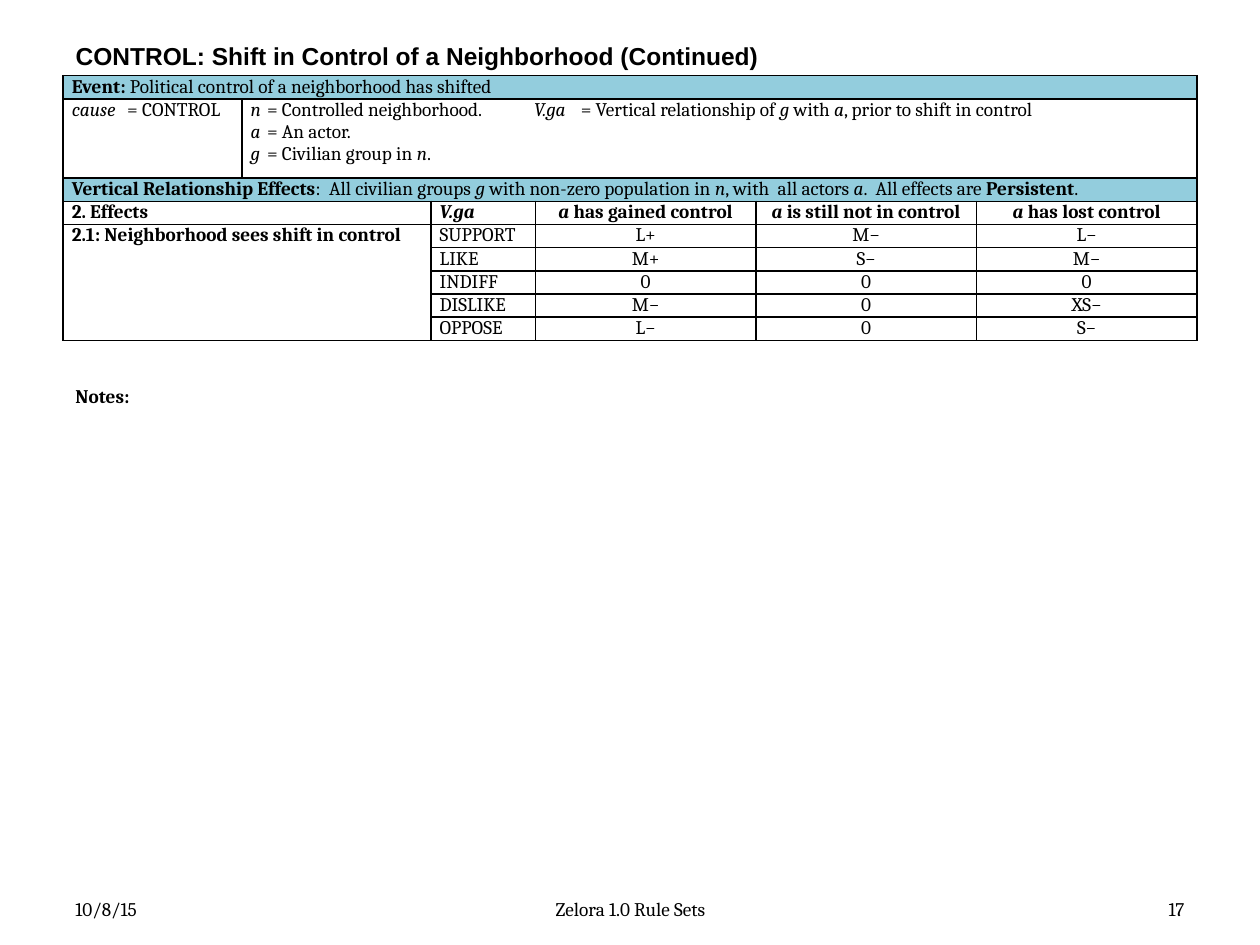
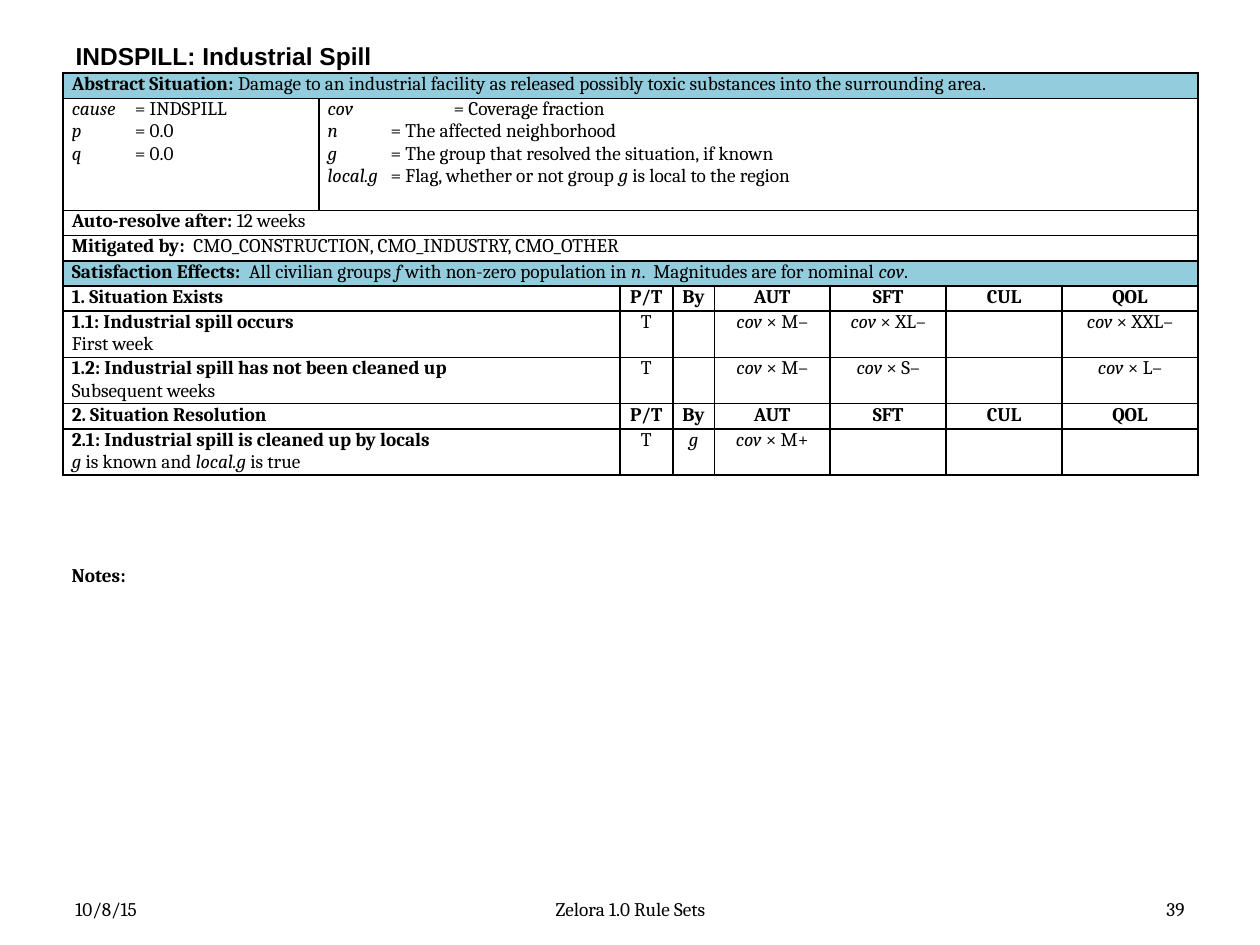
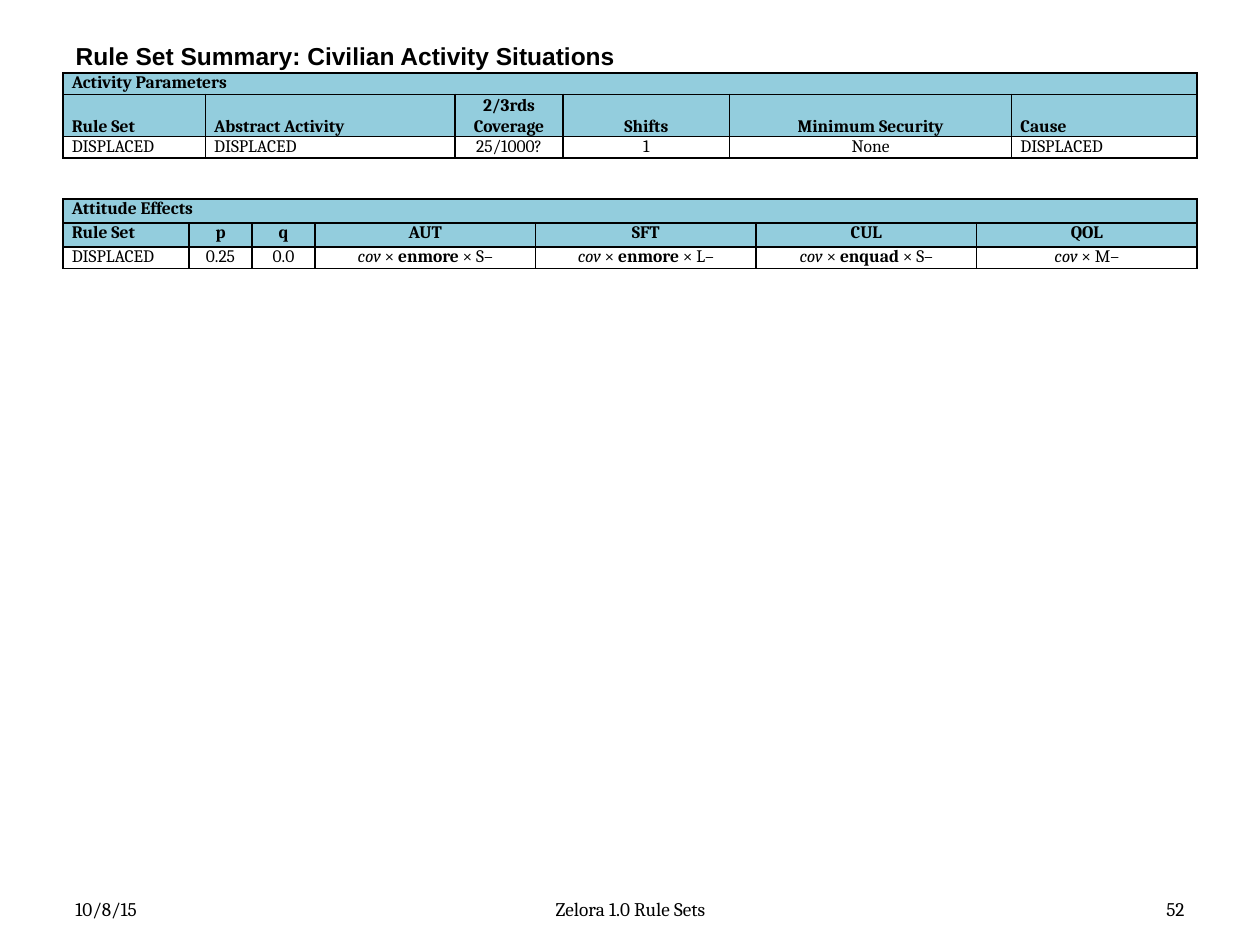
from lxml import etree
from pptx import Presentation
from pptx.dml.color import RGBColor
from pptx.enum.text import MSO_ANCHOR, PP_ALIGN
from pptx.oxml.ns import qn
from pptx.util import Inches, Pt

LEFT, MID, RIGHT = PP_ALIGN.LEFT, PP_ALIGN.CENTER, PP_ALIGN.RIGHT
TOP, CENTER, BOTTOM = MSO_ANCHOR.TOP, MSO_ANCHOR.MIDDLE, MSO_ANCHOR.BOTTOM

COLORS = {"ink": "000000", "band": "93CDDD"}
FONTS = {"head": "Arial", "body": "Cambria"}
TITLE_BOX = (0.5, 0.3, 9, 0.28)
DATE, DECK = "10/8/15", "Zelora 1.0 Rule Sets"
PAD = {"margin_left": Inches(0.07), "margin_right": Inches(0.07),
       "margin_top": 0, "margin_bottom": 0}


def put(item, **values):
    for name, value in values.items():
        setattr(item, name, value)


def write(frame, text, size=11, face="body", align=LEFT, tabs=()):
    """Write lines in which *stars* mark bold and ~tildes~ mark italic."""
    for row, line in enumerate(text.split("\n")):
        para = frame.add_paragraph() if row else frame.paragraphs[0]
        para.alignment = align
        if tabs:
            stops = etree.SubElement(para._p.get_or_add_pPr(), qn("a:tabLst"))
            for stop in tabs:
                etree.SubElement(stops, qn("a:tab"), pos=str(Inches(stop)), algn="l")
        for bold, chunk in enumerate(line.split("*")):
            for slant, piece in enumerate(chunk.split("~")):
                if not piece:
                    continue
                run = para.add_run()
                run.text = piece
                put(run.font, name=FONTS[face], size=Pt(size),
                    bold=bool(bold % 2), italic=bool(slant % 2))
                run.font.color.rgb = RGBColor.from_string(COLORS["ink"])
        if not line:
            para._p.get_or_add_endParaRPr().set("sz", str(size * 100))


def add_text(slide, box, text, align=LEFT, anchor=TOP):
    frame = slide.shapes.add_textbox(*map(Inches, box)).text_frame
    put(frame, word_wrap=True, vertical_anchor=anchor)
    write(frame, text, align=align)


def add_page(deck, title, number):
    """Add a slide with its title and footer."""
    slide = deck.slides.add_slide(deck.slide_layouts[5])
    head = slide.shapes.title
    left, top, width, height = map(Inches, TITLE_BOX)
    put(head, left=left, top=top, width=width, height=height)
    put(head.text_frame, vertical_anchor=CENTER, word_wrap=True)
    write(head.text_frame, f"*{title}*", 14, "head")
    for left, width, text, align in ((0.5, 2.33, DATE, LEFT),
                                     (3.42, 3.17, DECK, MID),
                                     (7.17, 2.33, str(number), RIGHT)):
        add_text(slide, (left, 7.08, width, 0.27), text, align, CENTER)
    return slide


def add_edges(cell):
    props = cell._tc.get_or_add_tcPr()
    for side in ("lnL", "lnR", "lnT", "lnB"):
        line = etree.SubElement(props, qn(f"a:{side}"), w=str(Pt(1)))
        fill = etree.SubElement(line, qn("a:solidFill"))
        etree.SubElement(fill, qn("a:srgbClr"), val=COLORS["ink"])


def add_grid(slide, top, cols, heights, rows, bands, mids, spans=None,
             tabs=None, size=11, low=None):
    """Draw a ruled table; a row with one cell spans the full width."""
    spans, tabs = spans or {}, tabs or {}
    box = map(Inches, (0.5, top, sum(cols), sum(heights)))
    grid = slide.shapes.add_table(len(rows), len(cols), *box).table
    put(grid, first_row=False, horz_banding=False)
    for col, width in zip(grid.columns, cols):
        col.width = Inches(width)
    for r, texts in enumerate(rows):
        grid.rows[r].height = Inches(heights[r])
        padded = texts + [""] * (len(cols) - len(texts))
        for c, text in enumerate(padded):
            cell = grid.cell(r, c)
            put(cell, vertical_anchor=BOTTOM if r == low else TOP, **PAD)
            add_edges(cell)
            if r in bands:
                cell.fill.solid()
                cell.fill.fore_color.rgb = RGBColor.from_string(COLORS["band"])
            else:
                cell.fill.background()
            write(cell.text_frame, text, size, align=MID if c in mids else LEFT,
                  tabs=tabs.get((r, c), ()))
        if len(texts) == 1:
            grid.cell(r, 0).merge(grid.cell(r, len(cols) - 1))
    for (r, c), (high, wide) in spans.items():
        grid.cell(r, c).merge(grid.cell(r + high - 1, c + wide - 1))


def add_control(deck):
    slide = add_page(deck, "CONTROL: Shift in Control of a Neighborhood (Continued)", 17)
    rows = [
        ["*Event:* Political control of a neighborhood has shifted"],
        ["~cause~\t= CONTROL",
         "~n~\t= Controlled neighborhood.\t~V.ga~\t= Vertical relationship of ~g~ "
         "with ~a~, prior to shift in control\n"
         "~a~\t= An actor.\n~g~\t= Civilian group in ~n~."],
        ["*Vertical Relationship Effects*:  All civilian groups ~g~ with non-zero "
         "population in ~n~, with  all actors ~a~.  All effects are *Persistent*."],
        ["*2. Effects*", "", "*~V.ga~*", "*~a~ has gained control*",
         "*~a~ is still not in control*", "*~a~ has lost control*"],
        ["*2.1: Neighborhood sees shift in control*", "", "SUPPORT", "L+", "M−", "L−"],
        ["", "", "LIKE", "M+", "S−", "M−"],
        ["", "", "INDIFF", "0", "0", "0"],
        ["", "", "DISLIKE", "M−", "0", "XS−"],
        ["", "", "OPPOSE", "L−", "0", "S−"],
    ]
    add_grid(slide, 0.6, [1.42, 1.5, 0.83] + [1.75] * 3,
             [0.17, 0.63] + [0.17] * 7, rows, bands={0, 2}, mids={3, 4, 5},
             spans={(1, 1): (1, 5), (3, 0): (1, 2), (4, 0): (5, 2)},
             tabs={(1, 0): [0.44], (1, 1): [0.13, 2.25, 2.62]})
    add_text(slide, (0.5, 3, 9.08, 0.29), "*Notes:*")


def add_spill(deck):
    slide = add_page(deck, "INDSPILL: Industrial Spill", 39)
    heads = [f"*{name}*" for name in ("P/T", "By", "AUT", "SFT", "CUL", "QOL")]
    rows = [
        ["*Abstract Situation:* Damage to an industrial facility as released "
         "possibly toxic substances into the surrounding area."],
        ["~cause~\t= INDSPILL\n~p~\t= 0.0\n~q~\t= 0.0",
         "~cov~\t\t= Coverage fraction\n~n~\t= The affected neighborhood\n"
         "~g~\t= The group that resolved the situation, if known\n"
         "~local.g~\t= Flag, whether or not group ~g~ is local to the region"],
        ["*Auto-resolve after:* 12 weeks"],
        ["*Mitigated by:*  CMO_CONSTRUCTION, CMO_INDUSTRY, CMO_OTHER"],
        ["*Satisfaction Effects:*  All civilian groups ~f ~with non-zero "
         "population in ~n~.  Magnitudes are for nominal ~cov~."],
        ["*1. Situation Exists*", ""] + heads,
        ["*1.1: Industrial spill occurs*\nFirst week", "", "T", "",
         "~cov~ × M–", "~cov~ × XL–", "", "~cov~ × XXL–"],
        ["*1.2: Industrial spill has not been cleaned up*\nSubsequent weeks", "",
         "T", "", "~cov~ × M–", "~cov~ × S–", "", "~cov~ × L–"],
        ["*2. Situation Resolution*", ""] + heads,
        ["*2.1: Industrial spill is cleaned up by locals*\n"
         "~g~ is known and ~local.g~ is true", "", "T", "~g~", "~cov~ × M+"],
    ]
    spans = {(r, 0): (1, 2) for r in range(5, 10)}
    add_grid(slide, 0.58, [2.03, 2.39, 0.42, 0.33, 0.92, 0.92, 0.92, 1.08],
             [0.2, 0.89] + [0.2] * 4 + [0.35, 0.35, 0.2, 0.35], rows,
             bands={0, 4}, mids=set(range(2, 8)),
             spans={(1, 1): (1, 7), **spans},
             tabs={(1, 0): [0.5], (1, 1): [0.5, 1]})
    add_text(slide, (0.47, 4.42, 9.08, 0.29), "*Notes:*")


def add_summary(deck):
    slide = add_page(deck, "Rule Set Summary: Civilian Activity Situations", 52)
    # Activity table
    rows = [
        ["*Activity Parameters*"],
        ["*Rule Set*", "*Abstract Activity*", "*2/3rds*\n*Coverage*", "*Shifts*",
         "*Minimum Security*", "*Cause*"],
        ["DISPLACED", "DISPLACED", "25/1000?", "1", "None", "DISPLACED"],
    ]
    add_grid(slide, 0.58, [1.13, 1.98, 0.86, 1.32, 2.24, 1.47],
             [0.17, 0.33, 0.17], rows, bands={0, 1}, mids={2, 3, 4}, size=10, low=1)
    # Attitude table
    rows = [
        ["*Attitude Effects*"],
        ["*Rule Set*", "*p*", "*q*", "*AUT*", "*SFT*", "*CUL*", "*QOL*"],
        ["DISPLACED", "0.25", "0.0", "~cov~ × *enmore* × S–",
         "~cov~ × *enmore* × L–", "~cov~ × *enquad* × S–", "~cov~ × M–"],
    ]
    add_grid(slide, 1.58, [1, 0.5, 0.5] + [1.75] * 4, [0.19, 0.19, 0.17], rows,
             bands={0, 1}, mids=set(range(1, 7)), size=10)


def main():
    deck = Presentation()
    put(deck, slide_width=Inches(10), slide_height=Inches(7.5))
    for build in (add_control, add_spill, add_summary):
        build(deck)
    deck.save("out.pptx")


if __name__ == "__main__":
    main()
